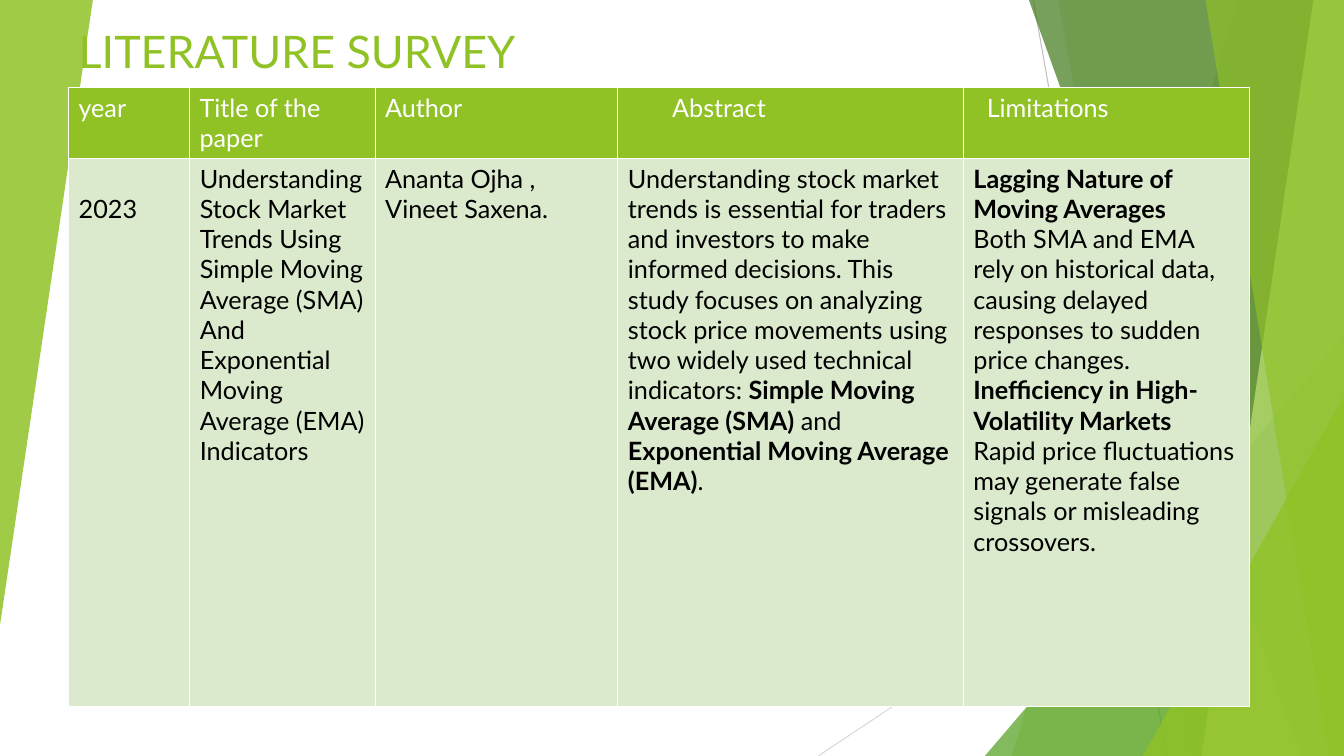
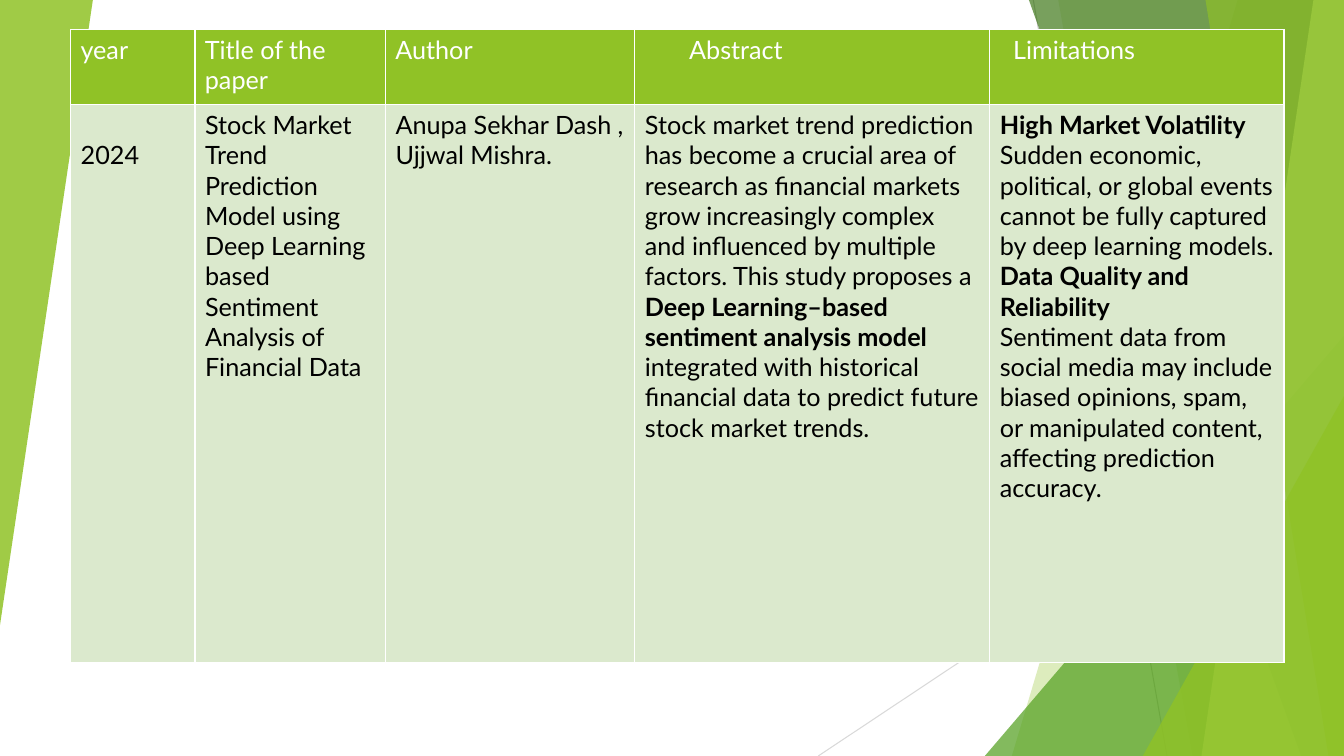
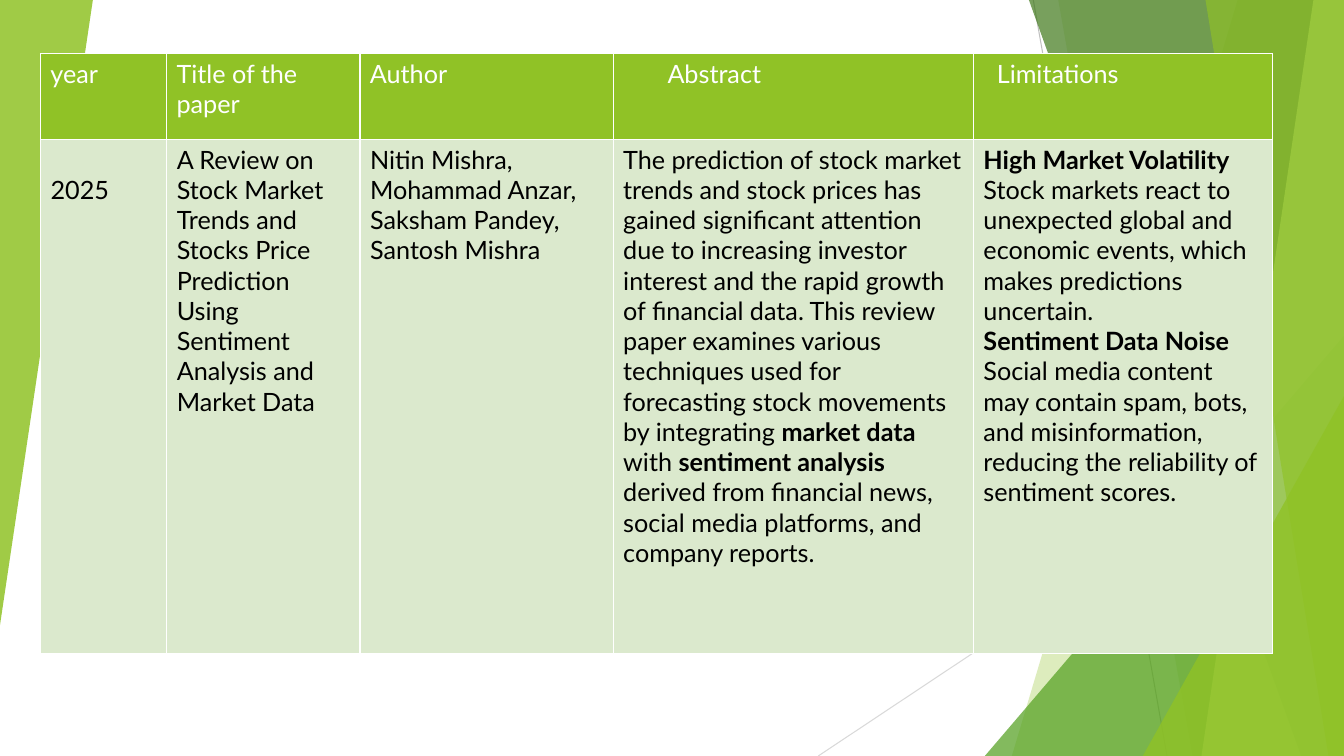
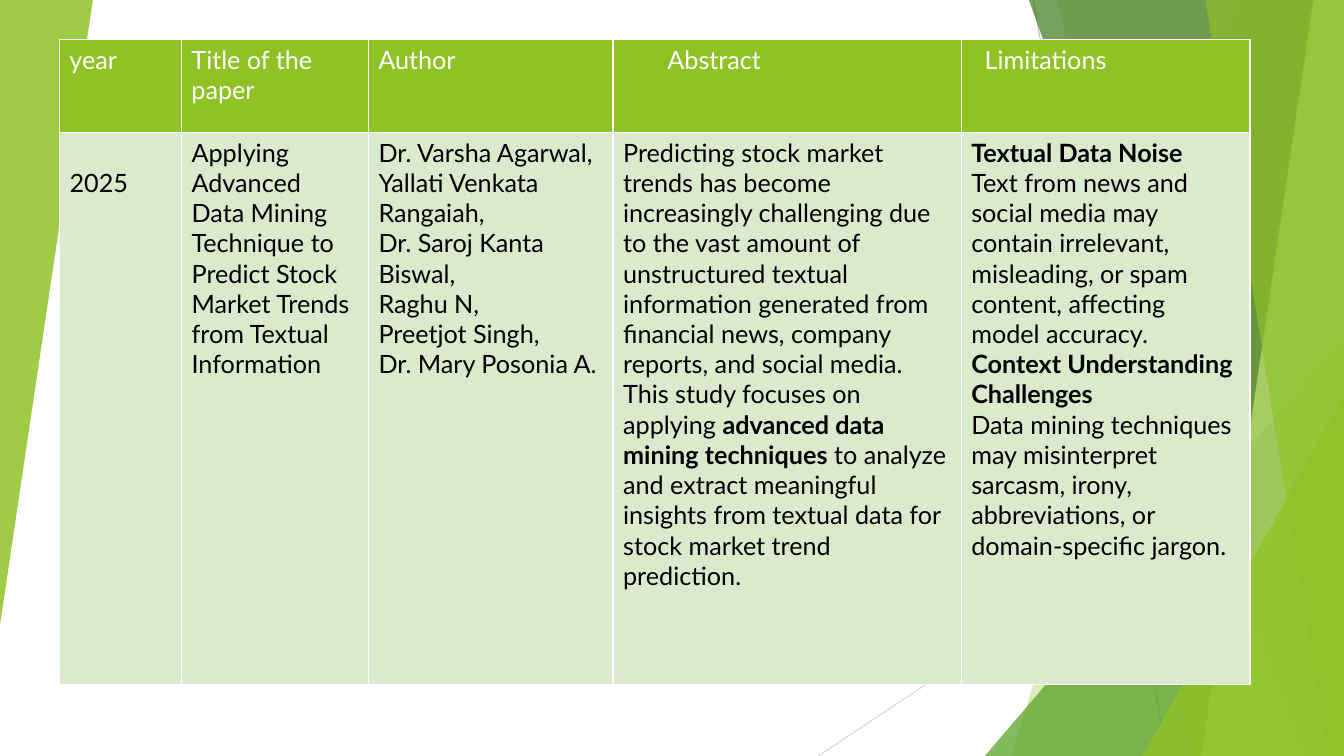
"""Build the four literature survey slides."""
from dataclasses import dataclass

import pptx
import pptx.dml.color
import pptx.enum.shapes
import pptx.enum.text
import pptx.oxml
import pptx.oxml.ns
import pptx.util
from pptx.util import Cm

HUES = {
    "lime": "90C226",
    "leaf": "54A021",
    "moss": "3F7819",
    "pale": "C0E474",
    "mint": "DBE9CD",
    "white": "FFFFFF",
    "black": "000000",
    "grey": "BFBFBF",
    "mist": "D9D9D9",
}
FONT = "Lato"
WIDE, HIGH = 33.87, 19.05
PAD = 0.25
LINE = 0.76
HEADS = ("year", "Title of the paper", "Author", "Abstract", "Limitations")
INSETS = (0, 0, 0, 1.12, 0.34)
SHARES = (0.1025, 0.157, 0.2055, 0.2925, 0.2425)


@dataclass(frozen=True)
class Ray:
    start: tuple[float, float]
    end: tuple[float, float]
    hue: str


@dataclass(frozen=True)
class Band:
    top: float
    foot: float
    hue: str
    alpha: int


@dataclass(frozen=True)
class Wedge:
    left: float
    top: float
    width: float
    height: float
    hue: str
    alpha: int
    turn: int = 0


@dataclass(frozen=True)
class Paper:
    left: float
    top: float
    width: float
    head: float
    body: float
    year: str
    name: str
    authors: tuple[str, ...]
    digest: str
    limits: tuple[str, ...]
    title: str = ""


RAYS = (
    Ray((26.04, 0), (29.41, HIGH), "grey"),
    Ray((WIDE, 10.24), (20.62, HIGH), "mist"),
)
FACETS = (
    Band(31.19, 25.5, "lime", 30),
    Band(26.67, 30.05, "lime", 20),
    Wedge(24.82, 8.46, 9.05, 10.59, "leaf", 72),
    Band(25.93, 32.79, "moss", 70),
    Band(33.1, 30.28, "pale", 70),
    Band(30.38, 33.48, "lime", 65),
    Wedge(28.8, 9.98, 5.07, 9.07, "lime", 80),
    Wedge(0, 0, 2.34, 15.75, "lime", 85, 180),
)
PAPERS = (
    Paper(
        1.73, 2.21, 29.77, 1.73, 13.82, "2023",
        "Understanding Stock Market Trends Using Simple Moving Average (SMA) "
        "And Exponential Moving Average (EMA) Indicators",
        ("Ananta Ojha ,", "Vineet Saxena."),
        "Understanding stock market trends is essential for traders and investors "
        "to make informed decisions. This study focuses on analyzing stock price "
        "movements using two widely used technical indicators: **Simple Moving "
        "Average (SMA)** and **Exponential Moving Average (EMA)**.",
        ("**Lagging Nature of Moving Averages**\nBoth SMA and EMA rely on "
         "historical data, causing delayed responses to sudden price changes.",
         "**Inefficiency in High-Volatility Markets**\nRapid price fluctuations "
         "may generate false signals or misleading crossovers."),
        "LITERATURE SURVEY",
    ),
    Paper(
        1.78, 0.74, 30.58, 1.9, 14.05, "2024",
        "Stock Market Trend Prediction Model using Deep Learning based Sentiment "
        "Analysis of Financial Data",
        ("Anupa Sekhar Dash ,", "Ujjwal Mishra."),
        "Stock market trend prediction has become a crucial area of research as "
        "financial markets grow increasingly complex and influenced by multiple "
        "factors. This study proposes a **Deep Learning–based sentiment analysis "
        "model** integrated with historical financial data to predict future stock "
        "market trends.",
        ("**High Market Volatility**\nSudden economic, political, or global events "
         "cannot be fully captured by deep learning models.",
         "**Data Quality and Reliability**\nSentiment data from social media may "
         "include biased opinions, spam, or manipulated content, affecting "
         "prediction accuracy."),
    ),
    Paper(
        1.02, 1.35, 31.04, 2.16, 12.95, "2025",
        "A Review on Stock Market Trends and Stocks Price Prediction Using "
        "Sentiment Analysis and Market Data",
        ("Nitin Mishra,", "Mohammad Anzar,", "Saksham Pandey,", "Santosh Mishra"),
        "The prediction of stock market trends and stock prices has gained "
        "significant attention due to increasing investor interest and the rapid "
        "growth of financial data. This review paper examines various techniques "
        "used for forecasting stock movements by integrating **market data** with "
        "**sentiment analysis** derived from financial news, social media "
        "platforms, and company reports.",
        ("**High Market Volatility**\nStock markets react to unexpected global and "
         "economic events, which makes predictions uncertain.",
         "**Sentiment Data Noise**\nSocial media content may contain spam, bots, "
         "and misinformation, reducing the reliability of sentiment scores."),
    ),
    Paper(
        1.5, 0.99, 30, 2.34, 13.92, "2025",
        "Applying Advanced Data Mining Technique to Predict Stock Market Trends "
        "from Textual Information",
        ("Dr. Varsha Agarwal,", "Yallati Venkata Rangaiah,",
         "Dr. Saroj Kanta Biswal,", "Raghu N,", "Preetjot Singh,",
         "Dr. Mary Posonia A."),
        "Predicting stock market trends has become increasingly challenging due to "
        "the vast amount of unstructured textual information generated from "
        "financial news, company reports, and social media. This study focuses on "
        "applying **advanced data mining techniques** to analyze and extract "
        "meaningful insights from textual data for stock market trend prediction.",
        ("**Textual Data Noise**\nText from news and social media may contain "
         "irrelevant, misleading, or spam content, affecting model accuracy.",
         "**Context Understanding Challenges**\nData mining techniques may "
         "misinterpret sarcasm, irony, abbreviations, or domain-specific jargon."),
    ),
)


def tint(hue: str) -> pptx.dml.color.RGBColor:
    return pptx.dml.color.RGBColor.from_string(HUES[hue])


def style(para, size: float, hue: str) -> None:
    para.font.name = FONT
    para.font.size = pptx.util.Pt(size)
    para.font.bold = False
    para.font.color.rgb = tint(hue)


def draw_ray(slide, ray: Ray) -> None:
    line = slide.shapes.add_connector(
        pptx.enum.shapes.MSO_CONNECTOR.STRAIGHT,
        *(Cm(n) for n in ray.start + ray.end))
    line.line.color.rgb = tint(ray.hue)
    line.line.width = pptx.util.Pt(0.75)
    line.element.spPr.append(pptx.oxml.parse_xml(
        f"<a:effectLst {pptx.oxml.ns.nsdecls('a')}/>"))


def draw_facet(slide, facet: Band | Wedge) -> None:
    if isinstance(facet, Band):
        form = slide.shapes.build_freeform(Cm(facet.top), 0)
        form.add_line_segments(
            [(Cm(WIDE), 0), (Cm(WIDE), Cm(HIGH)), (Cm(facet.foot), Cm(HIGH))])
        shape = form.convert_to_shape()
    else:
        shape = slide.shapes.add_shape(
            pptx.enum.shapes.MSO_SHAPE.ISOSCELES_TRIANGLE, Cm(facet.left),
            Cm(facet.top), Cm(facet.width), Cm(facet.height))
        shape.adjustments[0] = 1
        shape.rotation = facet.turn
    shape.shadow.inherit = False
    shape.line.fill.background()
    shape.fill.solid()
    shape.fill.fore_color.rgb = tint(facet.hue)
    shape.element.spPr.find(".//" + pptx.oxml.ns.qn("a:srgbClr")).append(
        pptx.oxml.parse_xml(
            f"<a:alpha {pptx.oxml.ns.nsdecls('a')} val='{facet.alpha * 1000}'/>"))


def draw_title(slide, text: str) -> None:
    title = slide.shapes.title
    title.left, title.top, title.width, title.height = (
        Cm(1.73), Cm(0.46), Cm(17.07), Cm(1.63))
    frame = title.text_frame
    frame.text = text
    frame.auto_size = pptx.enum.text.MSO_AUTO_SIZE.SHAPE_TO_FIT_TEXT
    frame.vertical_anchor = pptx.enum.text.MSO_ANCHOR.TOP
    para = frame.paragraphs[0]
    para.alignment = pptx.enum.text.PP_ALIGN.LEFT
    style(para, 32, "lime")
    slide.shapes.element.append(title.element)


def write(para, text: str) -> None:
    for part, piece in enumerate(text.split("**")):
        for row, words in enumerate(piece.split("\n")):
            if row:
                para.add_line_break()
            if words:
                run = para.add_run()
                run.text = words
                if part % 2:
                    run.font.bold = True


def fill_cell(cell, texts: tuple[str, ...], fill: str, hue: str) -> None:
    frame = cell.text_frame
    for spot, text in enumerate(texts):
        para = frame.add_paragraph() if spot else frame.paragraphs[0]
        style(para, 18, hue)
        write(para, text)
    props = cell._tc.get_or_add_tcPr()
    for side in "LRTB":
        props.append(pptx.oxml.parse_xml(
            f"<a:ln{side} {pptx.oxml.ns.nsdecls('a')} w='12700'><a:solidFill>"
            f"<a:srgbClr val='{HUES['white']}'/></a:solidFill></a:ln{side}>"))
    cell.fill.solid()
    cell.fill.fore_color.rgb = tint(fill)


def draw_table(slide, paper: Paper) -> None:
    grid = slide.shapes.add_table(
        2, len(HEADS), Cm(paper.left), Cm(paper.top), Cm(paper.width),
        Cm(paper.head + paper.body)).table
    grid.horz_banding = False
    grid.rows[0].height = Cm(paper.head)
    grid.rows[1].height = Cm(paper.body)
    texts = ((paper.year,), (paper.name,), paper.authors, (paper.digest,),
             paper.limits)
    for col, (head, inset, share, text) in enumerate(
            zip(HEADS, INSETS, SHARES, texts)):
        grid.columns[col].width = Cm(paper.width * share)
        grid.cell(0, col).margin_left = Cm(PAD + inset)
        fill_cell(grid.cell(0, col), (head,), "lime", "white")
        fill_cell(grid.cell(1, col), text, "mint", "black")
    grid.cell(1, 0).margin_top = Cm(0.13 + LINE)


def main() -> None:
    deck = pptx.Presentation()
    deck.slide_width, deck.slide_height = Cm(WIDE), Cm(HIGH)
    for paper in PAPERS:
        slide = deck.slides.add_slide(deck.slide_layouts[5 if paper.title else 6])
        for ray in RAYS:
            draw_ray(slide, ray)
        for facet in FACETS:
            draw_facet(slide, facet)
        draw_table(slide, paper)
        if paper.title:
            draw_title(slide, paper.title)
    deck.save("out.pptx")


if __name__ == "__main__":
    main()
